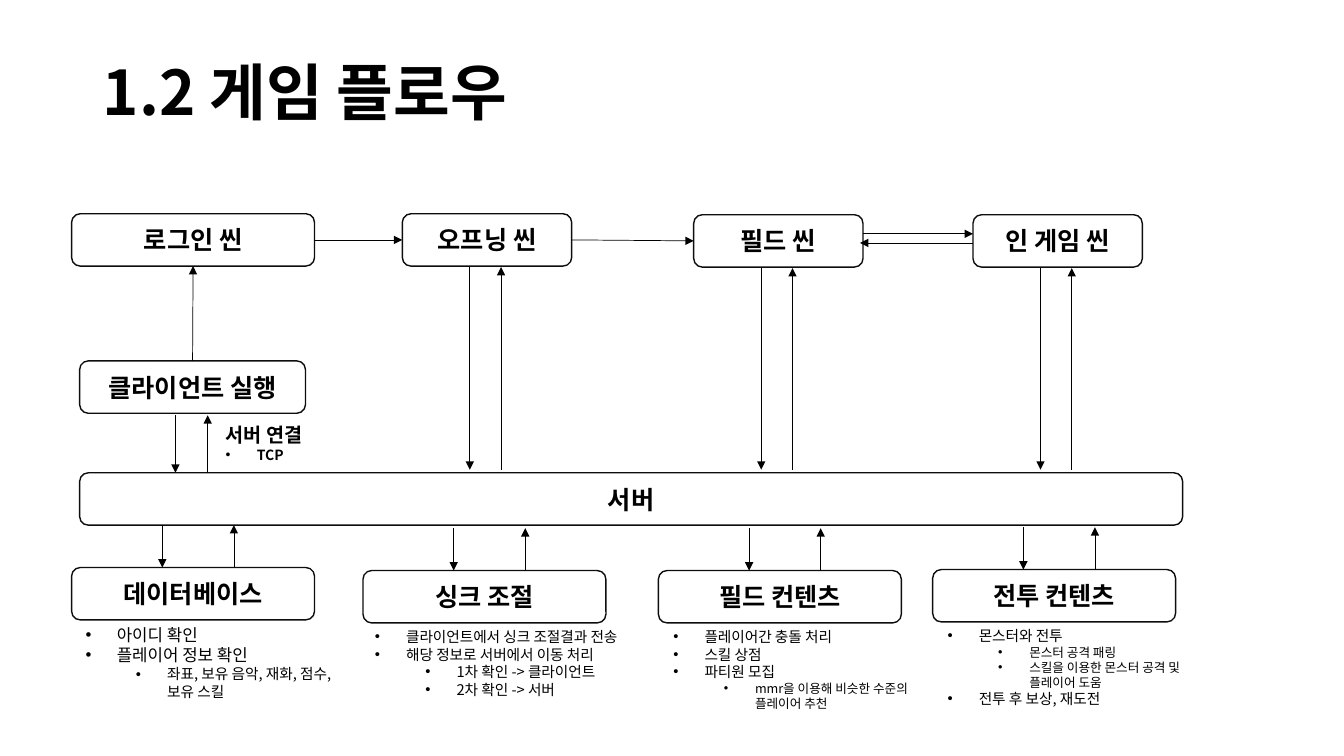
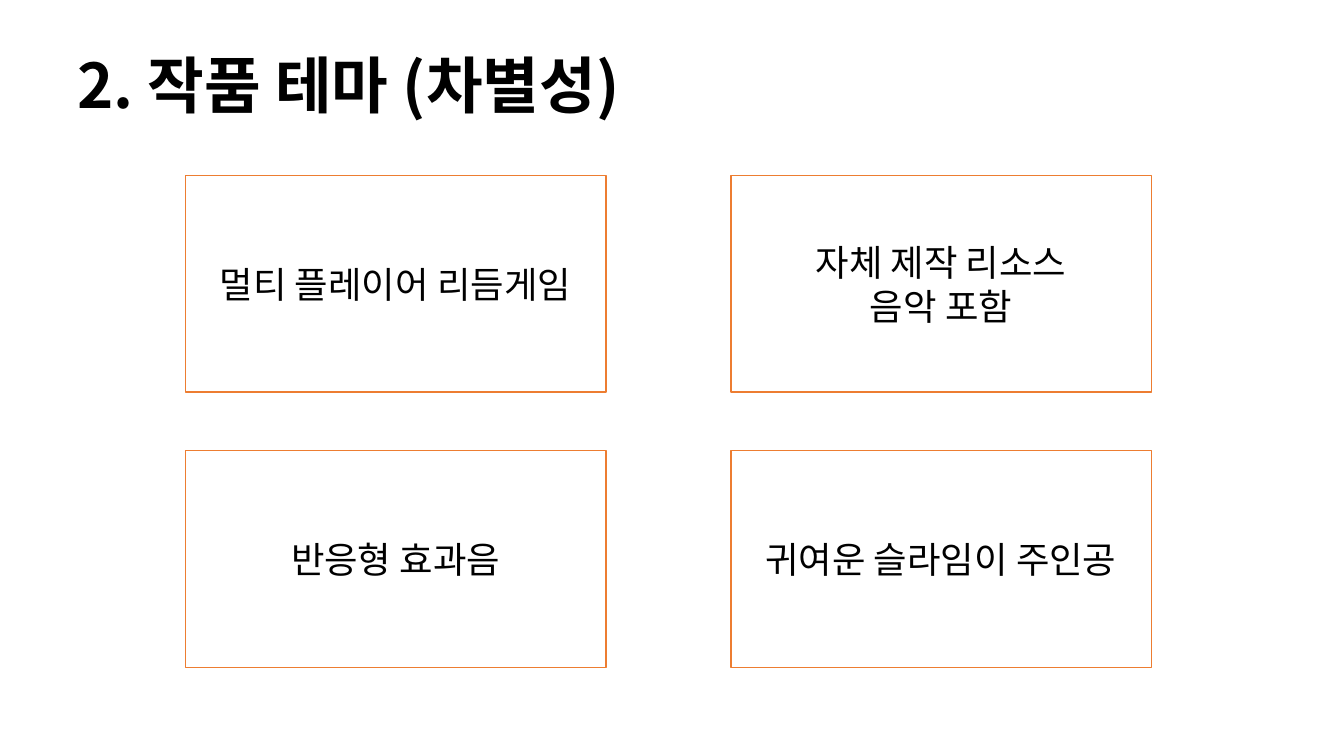
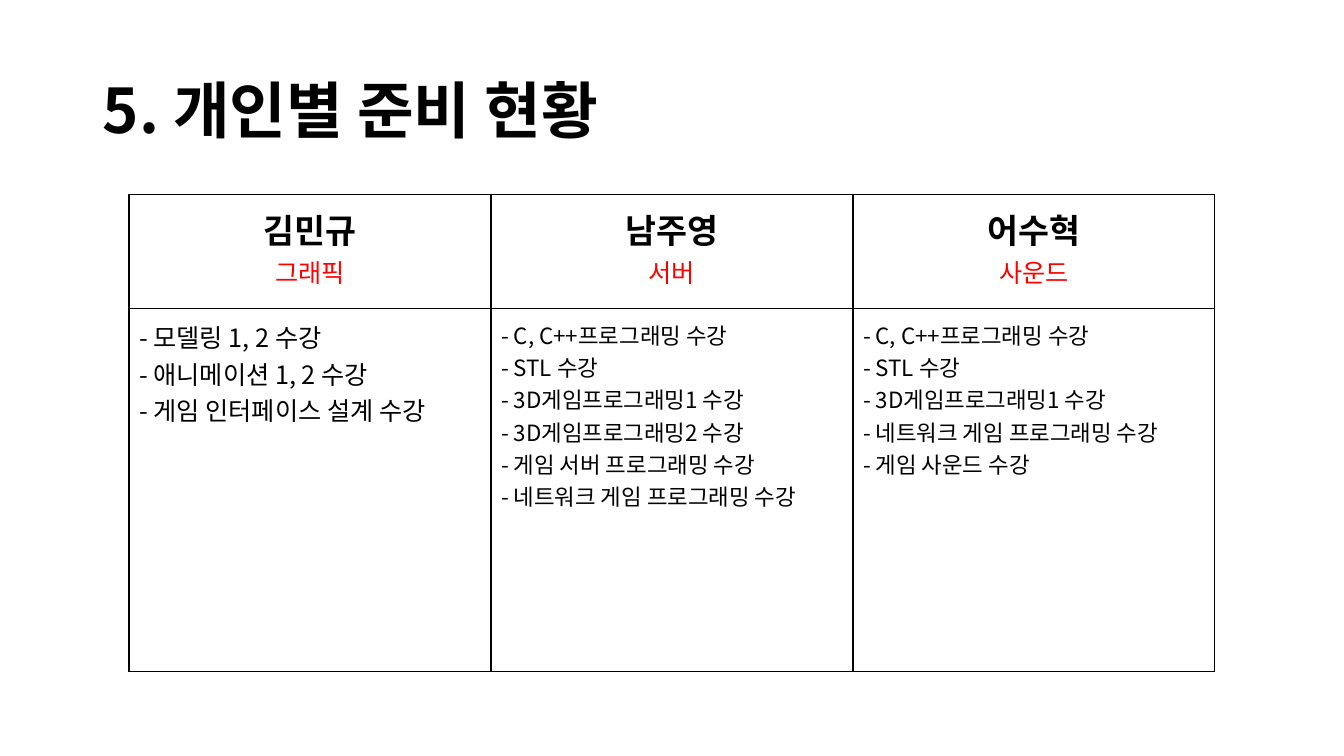
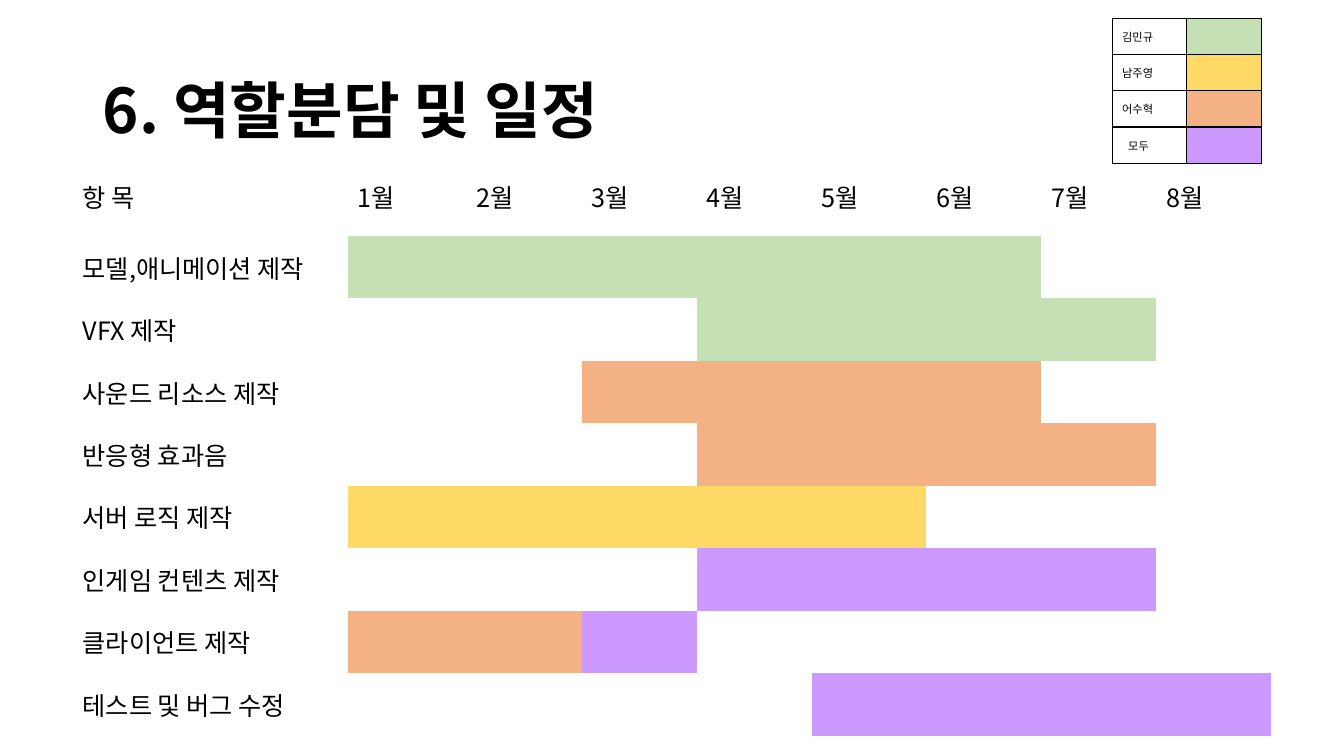
import lxml.etree
import pptx
import pptx.dml.color
import pptx.enum.shapes
import pptx.enum.text
import pptx.oxml.ns
import pptx.util

Inches = pptx.util.Inches
Pt = pptx.util.Pt
qn = pptx.oxml.ns.qn
SHAPE = pptx.enum.shapes.MSO_SHAPE
CENTER = pptx.enum.text.PP_ALIGN.CENTER
MIDDLE = pptx.enum.text.MSO_ANCHOR.MIDDLE
TOP, LEFT, BOTTOM, RIGHT = range(4)

FONT = "Noto Sans CJK KR"
BLACK, OUTLINE, WHITE, ORANGE, RED = "000000", "0D0D0D", "FFFFFF", "ED7D31", "FF0000"
GREEN, YELLOW, PEACH, PURPLE = "C5E0B4", "FFD966", "F4B183", "CC99FF"
PLAIN_TABLE = "{2D5ABB26-0587-4C30-8999-92F81FD0307C}"


def rgb(value):
    return pptx.dml.color.RGBColor.from_string(value)


def child(parent, tag, **attrs):
    return lxml.etree.SubElement(parent, qn(tag), attrs)


class Deck:
    def __init__(self):
        self.prs = pptx.Presentation()
        self.prs.slide_width = Inches(13.33)
        self.prs.slide_height = Inches(7.5)
        self.s = None

    def slide(self, title, left=0.92, top=0.4, height=1.45):
        self.s = self.prs.slides.add_slide(self.prs.slide_layouts[6])
        tf = self.textbox(left, top, 11.5, height)
        tf.vertical_anchor = MIDDLE
        self.para(tf, title, 44, bold=True).line_spacing = 0.9

    def para(self, tf, text, size=18, bold=False, color=BLACK, align=None, level=None):
        p = tf.paragraphs[0]
        if p.runs:
            p = tf.add_paragraph()
        p.alignment = align
        if level is not None:
            p.level = level
            pPr = p._p.get_or_add_pPr()
            pPr.set("marL", str(Inches(0.31 + 0.5 * level)))
            pPr.set("indent", str(-Inches(0.31)))
            child(pPr, "a:buFont", typeface="Arial")
            child(pPr, "a:buChar", char="•")
        for i, line in enumerate(text.split("\n")):
            if i:
                p.add_line_break()
            r = p.add_run()
            r.text = line
            r.font.size = Pt(size)
            r.font.bold = bold
            r.font.color.rgb = rgb(color)
            r.font.name = FONT
            child(r._r.get_or_add_rPr(), "a:ea", typeface=FONT)
        return p

    def textbox(self, left, top, width, height):
        sp = self.s.shapes.add_textbox(Inches(left), Inches(top), Inches(width), Inches(height))
        sp.text_frame.word_wrap = True
        return sp.text_frame

    def bullets(self, left, top, width, height, items):
        tf = self.textbox(left, top, width, height)
        for level, size, text in items:
            self.para(tf, text, size, level=level)

    def box(self, kind, left, top, width, height, lines, size, bold=False, line=OUTLINE, fill=None):
        sp = self.s.shapes.add_shape(kind, Inches(left), Inches(top), Inches(width), Inches(height))
        sp.shadow.inherit = False
        if fill:
            sp.fill.solid()
            sp.fill.fore_color.rgb = rgb(fill)
        else:
            sp.fill.background()
        sp.line.color.rgb = rgb(line)
        sp.line.width = Pt(1)
        tf = sp.text_frame
        tf.word_wrap = True
        tf.vertical_anchor = MIDDLE
        for text in lines:
            self.para(tf, text, size, bold, align=CENTER)
        return sp

    def node(self, left, top, width, text):
        return self.box(SHAPE.ROUNDED_RECTANGLE, left, top, width, 0.52, [text], 18, bold=True)

    def arrow(self, x1=0, y1=0, x2=0, y2=0):
        cx = self.s.shapes.add_connector(pptx.enum.shapes.MSO_CONNECTOR.STRAIGHT,
                                         Inches(x1), Inches(y1), Inches(x2), Inches(y2))
        cx.line.color.rgb = rgb(BLACK)
        cx.line.width = Pt(0.5)
        spPr = cx._element.spPr
        child(spPr.find(qn("a:ln")), "a:tailEnd", type="triangle")
        child(spPr, "a:effectLst")
        return cx

    def link(self, start, start_side, end, end_side):
        cx = self.arrow()
        cx.begin_connect(start, start_side)
        cx.end_connect(end, end_side)

    def exchange(self, x_down, x_up, top, bottom):
        self.arrow(x_down, top, x_down, bottom)
        self.arrow(x_up, bottom, x_up, top)

    def table(self, left, top, cols, rows):
        frame = self.s.shapes.add_table(len(rows), len(cols), Inches(left), Inches(top),
                                        Inches(sum(cols)), Inches(sum(rows)))
        table = frame.table
        table.first_row = table.horz_banding = False
        next(frame._element.iter(qn("a:tableStyleId"))).text = PLAIN_TABLE
        for col, width in zip(table.columns, cols):
            col.width = Inches(width)
        for row, height in zip(table.rows, rows):
            row.height = Inches(height)
        return table

    def cell(self, cell, lines=(), fill=None, border=False, margin=None, anchor=None, **style):
        if border:
            tcPr = cell._tc.get_or_add_tcPr()
            for side in "LRTB":
                ln = child(tcPr, "a:ln" + side, w=str(Pt(1)))
                child(child(ln, "a:solidFill"), "a:srgbClr", val=BLACK)
        if fill:
            cell.fill.solid()
            cell.fill.fore_color.rgb = rgb(fill)
        else:
            cell.fill.background()
        if margin:
            cell.margin_left = cell.margin_right = Inches(margin)
            cell.margin_top = cell.margin_bottom = Inches(margin)
        cell.vertical_anchor = anchor
        for text in lines:
            self.para(cell.text_frame, text, **style)
        if not lines:
            child(cell.text_frame.paragraphs[0]._p, "a:endParaRPr", sz="800")


def game_flow(deck):
    deck.slide("1.2 게임 플로우", height=1.1)
    client = deck.node(0.79, 3.58, 2.24, "클라이언트 실행")
    login = deck.node(0.71, 2.12, 2.41, "로그인 씬")
    deck.node(0.79, 4.69, 10.94, "서버")

    scenes = []
    for left, top, name in [(3.99, 2.12, "오프닝 씬"), (6.88, 2.13, "필드 씬"), (9.65, 2.13, "인 게임 씬")]:
        scenes.append(deck.node(left, top, 1.68, name))
        deck.exchange(left + 0.67, left + 0.98, top + 0.53, 4.66)
    opening, field, _ = scenes

    deck.link(client, TOP, login, BOTTOM)
    deck.link(login, RIGHT, opening, LEFT)
    deck.link(opening, RIGHT, field, LEFT)
    deck.arrow(8.56, 2.32, 9.65, 2.32)
    deck.arrow(9.65, 2.41, 8.53, 2.41)
    deck.exchange(1.74, 2.06, 4.12, 4.69)

    tf = deck.textbox(2.14, 4.15, 1.12, 0.5)
    deck.para(tf, "서버 연결", 14, bold=True)
    deck.para(tf, "TCP", 10, bold=True, level=0)

    services = [
        (0.71, 5.63, "데이터베이스", (0.75, 6.15, 2.88, 0.86), [
            (0, 12, "아이디 확인"),
            (0, 12, "플레이어 정보 확인"),
            (1, 10.5, "좌표, 보유 음악, 재화, 점수, 보유 스킬")]),
        (3.6, 5.66, "싱크 조절", (3.62, 6.18, 2.98, 0.81), [
            (0, 10.5, "클라이언트에서 싱크 조절결과 전송"),
            (0, 10.5, "해당 정보로 서버에서 이동 처리"),
            (1, 10.5, "1차 확인 -> 클라이언트"),
            (1, 10.5, "2차 확인 -> 서버")]),
        (6.53, 5.66, "필드 컨텐츠", (6.58, 6.18, 2.98, 0.93), [
            (0, 10.5, "플레이어간 충돌 처리"),
            (0, 10.5, "스킬 상점"),
            (0, 10.5, "파티원 모집"),
            (1, 9, "mmr을 이용해 비슷한 수준의\n플레이어 추천")]),
        (9.25, 5.65, "전투 컨텐츠", (9.3, 6.17, 2.98, 0.91), [
            (0, 10.5, "몬스터와 전투"),
            (1, 9, "몬스터 공격 패링"),
            (1, 9, "스킬을 이용한 몬스터 공격 및\n플레이어 도움"),
            (0, 10.5, "전투 후 보상, 재도전")]),
    ]
    for left, top, name, area, items in services:
        deck.node(left, top, 2.41, name)
        deck.exchange(left + 0.9, left + 1.61, top - 0.42, top)
        deck.bullets(*area, items)


def themes(deck):
    deck.slide("2. 작품 테마 (차별성)", left=0.67, top=0.15)
    cards = [["멀티 플레이어 리듬게임"], ["자체 제작 리소스", "음악 포함"],
             ["반응형 효과음"], ["귀여운 슬라임이 주인공"]]
    for i, lines in enumerate(cards):
        row, col = divmod(i, 2)
        deck.box(SHAPE.RECTANGLE, 1.84 + 5.41 * col, 1.74 + 2.73 * row, 4.17, 2.15,
                 lines, 26, line=ORANGE, fill=WHITE)


def preparation(deck):
    deck.slide("5. 개인별 준비 현황")
    members = [
        ("김민규", "그래픽", 18, ["모델링 1, 2 수강", "애니메이션 1, 2 수강", "게임 인터페이스 설계 수강"]),
        ("남주영", "서버", 16, ["C, C++프로그래밍 수강", "STL 수강", "3D게임프로그래밍1 수강",
                             "3D게임프로그래밍2 수강", "게임 서버 프로그래밍 수강",
                             "네트워크 게임 프로그래밍 수강"]),
        ("어수혁", "사운드", 16, ["C, C++프로그래밍 수강", "STL 수강", "3D게임프로그래밍1 수강",
                               "네트워크 게임 프로그래밍 수강", "게임 사운드 수강"]),
    ]
    table = deck.table(1.28, 1.93, [3.59] * 3, [1.13, 3.6])
    for col, (name, role, size, courses) in enumerate(members):
        head = table.cell(0, col)
        deck.cell(head, [name], border=True, margin=0.1, size=24, bold=True, align=CENTER)
        deck.para(head.text_frame, role, color=RED, align=CENTER)
        deck.cell(table.cell(1, col), ["- " + course for course in courses],
                  border=True, margin=0.1, size=size)


def schedule(deck):
    deck.slide("6. 역할분담 및 일정")
    tasks = [
        ("모델,애니메이션 제작", [(1, 6, GREEN)]),
        ("VFX 제작", [(4, 7, GREEN)]),
        ("사운드 리소스 제작", [(3, 6, PEACH)]),
        ("반응형 효과음", [(4, 7, PEACH)]),
        ("서버 로직 제작", [(1, 5, YELLOW)]),
        ("인게임 컨텐츠 제작", [(4, 7, PURPLE)]),
        ("클라이언트 제작", [(1, 2, PEACH), (3, 3, PURPLE)]),
        ("테스트 및 버그 수정", [(5, 8, PURPLE)]),
    ]
    months = range(1, 9)
    table = deck.table(0.72, 1.56, [2.73, 1.18] + [1.14] * 7, [0.78] + [0.62] * len(tasks))
    deck.cell(table.cell(0, 0), ["항 목"], anchor=MIDDLE)
    for month in months:
        deck.cell(table.cell(0, month), [f"{month}월"], anchor=MIDDLE)
    for row, (task, spans) in enumerate(tasks, 1):
        deck.cell(table.cell(row, 0), [task], anchor=MIDDLE)
        fills = {m: color for first, last, color in spans for m in range(first, last + 1)}
        for month in months:
            deck.cell(table.cell(row, month), fill=fills.get(month))

    owners = [("김민규", GREEN), ("남주영", YELLOW), ("어수혁", PEACH), ("모두", PURPLE)]
    legend = deck.table(11.03, 0.18, [0.74] * 2, [0.36] * len(owners))
    for row, (owner, color) in enumerate(owners):
        deck.cell(legend.cell(row, 0), [owner], border=True, margin=0.1, size=8)
        deck.cell(legend.cell(row, 1), fill=color, border=True, margin=0.1)
    legend.cell(len(owners) - 1, 0).margin_left = Inches(0.16)


def main():
    deck = Deck()
    for build in (game_flow, themes, preparation, schedule):
        build(deck)
    deck.prs.save("out.pptx")


if __name__ == "__main__":
    main()
